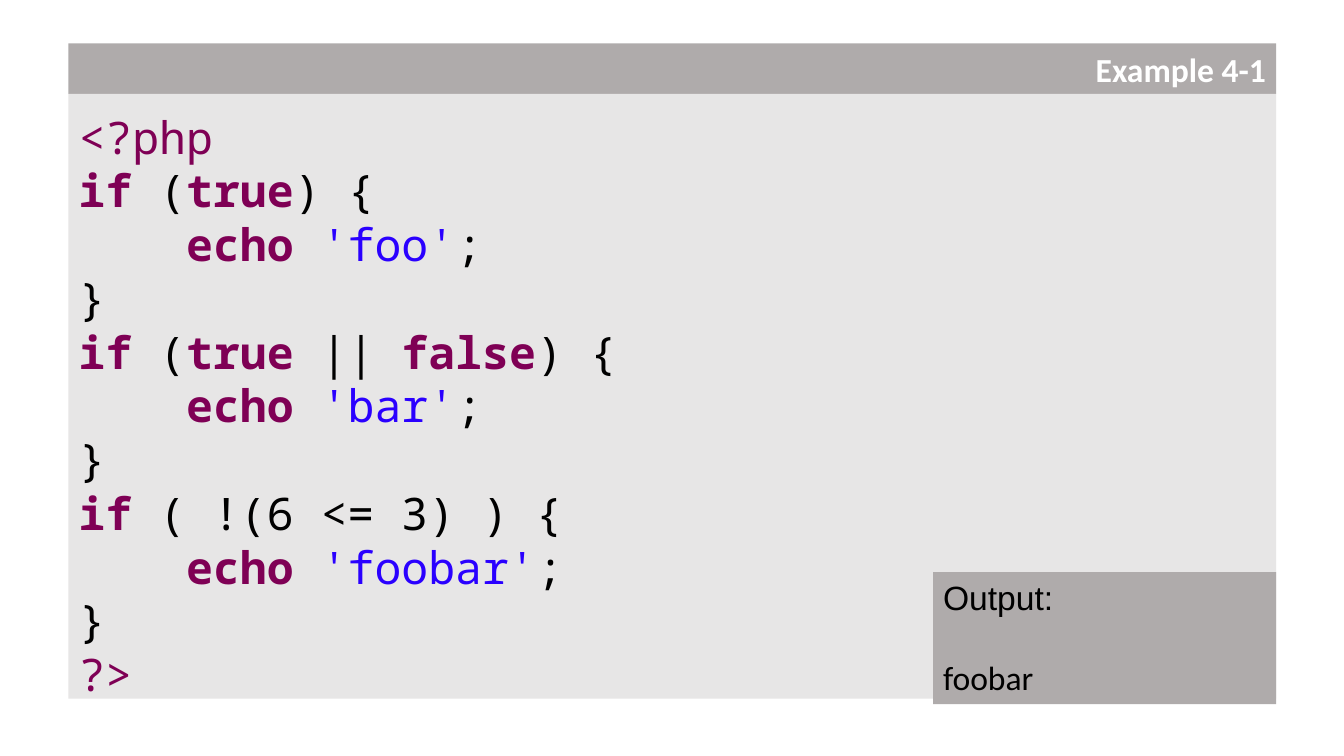
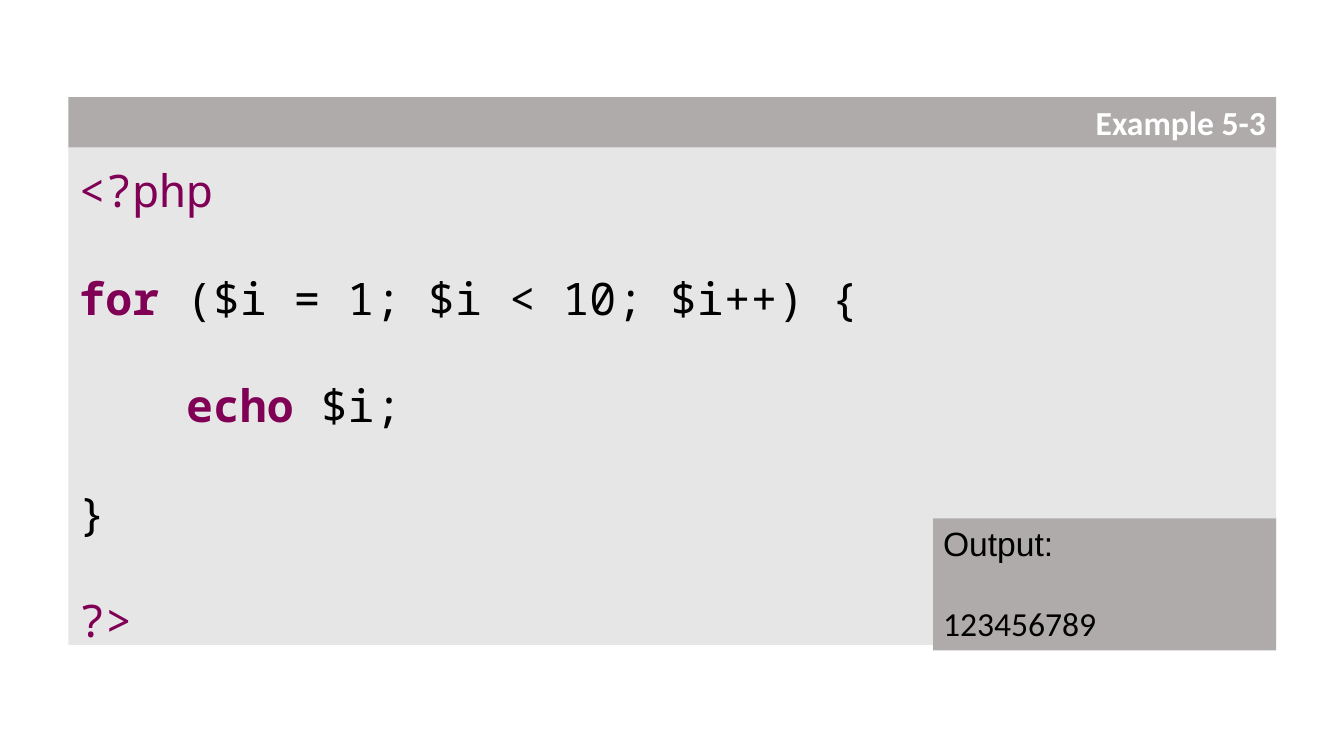
from pptx import Presentation
from pptx.dml.color import RGBColor
from pptx.enum.shapes import MSO_SHAPE
from pptx.enum.text import MSO_ANCHOR, MSO_AUTO_SIZE, PP_ALIGN
from pptx.oxml import parse_xml
from pptx.oxml.ns import nsdecls
from pptx.util import Pt

WHITE = RGBColor(0xFF, 0xFF, 0xFF)
BLACK = RGBColor(0x00, 0x00, 0x00)
BAND_GREY = RGBColor(0xAF, 0xAB, 0xAB)
PANEL_GREY = RGBColor(0xE7, 0xE6, 0xE6)
PURPLE = RGBColor(0x7F, 0x00, 0x55)
BLUE = RGBColor(0x2A, 0x00, 0xFF)

# Kinds of code token: colour and bold
PLAIN = (BLACK, False)
TAG = (PURPLE, False)
KEYWORD = (PURPLE, True)
STRING = (BLUE, False)


class ExampleDeck:
    """Style of the code examples and the slide being filled."""

    LEFT, WIDTH = 48.9, 862.6
    CENTER_Y = 265
    HEADER_HEIGHT = 36
    LINE = 38.4
    INSET_X, INSET_Y = 7.2, 3.6
    CODE_TOP = 11
    OUTPUT_WIDTH, OUTPUT_HEIGHT, OUTPUT_DROP = 245, 94.3, 4

    def __init__(self):
        self.deck = Presentation()
        self.deck.slide_width, self.deck.slide_height = Pt(960), Pt(540)
        self.slide = None
        self.top = self.bottom = 0

    def add_example(self, rows):
        """Start a slide whose block is centred and fits the given rows."""
        self.slide = self.deck.slides.add_slide(self.deck.slide_layouts[1])
        height = rows * self.LINE + 2 * self.INSET_Y
        self.top = self.CENTER_Y - height / 2
        self.bottom = self.top + height

    def place(self, box, left, top, width, height, fill, anchor):
        box.left, box.top, box.width, box.height = map(Pt, (left, top, width, height))
        box.fill.solid()
        box.fill.fore_color.rgb = fill
        frame = box.text_frame
        frame.word_wrap = True
        frame.auto_size = MSO_AUTO_SIZE.NONE
        frame.vertical_anchor = anchor
        frame.margin_left = frame.margin_right = Pt(self.INSET_X)
        frame.margin_top = frame.margin_bottom = Pt(self.INSET_Y)
        return frame

    @staticmethod
    def format(span, name, size, color, bold=False):
        font = span.font
        font.name, font.size, font.bold = name, Pt(size), bold
        font.color.rgb = color

    def header(self, text):
        frame = self.place(self.slide.shapes.title, self.LEFT, self.top, self.WIDTH,
                           self.HEADER_HEIGHT, BAND_GREY, MSO_ANCHOR.MIDDLE)
        frame.text = text
        para = frame.paragraphs[0]
        para.alignment = PP_ALIGN.RIGHT
        self.format(para.runs[0], "Calibri", 24, WHITE, True)

    def code(self, lines, gap=0):
        """Write token lines, with a gap counted in lines between them."""
        top = self.top + self.HEADER_HEIGHT
        frame = self.place(self.slide.placeholders[1], self.LEFT, top, self.WIDTH,
                           self.bottom - top, PANEL_GREY, MSO_ANCHOR.TOP)
        frame.margin_top, frame.margin_bottom = Pt(self.CODE_TOP), Pt(0)
        for number, tokens in enumerate(lines):
            para = frame.add_paragraph() if number else frame.paragraphs[0]
            properties = para._p.get_or_add_pPr()
            properties.set("marL", "0")
            properties.set("indent", "0")
            properties.append(parse_xml(f"<a:buNone {nsdecls('a')}/>"))
            para.line_spacing = Pt(self.LINE)
            para.space_before = Pt(gap * self.LINE if number else 0)
            for text, (color, bold) in tokens:
                span = para.add_run()
                span.text = text
                self.format(span, "Noto Sans Mono", 32, color, bold)

    def output(self, result):
        box = self.slide.shapes.add_shape(MSO_SHAPE.RECTANGLE, 0, 0, 0, 0)
        box.shadow.inherit = False
        box.line.fill.background()
        left = self.LEFT + self.WIDTH - self.OUTPUT_WIDTH
        top = self.bottom + self.OUTPUT_DROP - self.OUTPUT_HEIGHT
        frame = self.place(box, left, top, self.OUTPUT_WIDTH, self.OUTPUT_HEIGHT,
                           BAND_GREY, MSO_ANCHOR.TOP)
        frame.text = f"Output:\n{result}"
        for para, name, space in zip(frame.paragraphs, ("Arial", "Calibri"), (0, 28)):
            para.alignment = PP_ALIGN.LEFT
            para.space_before = Pt(space)
            self.format(para.runs[0], name, 24, BLACK)


def echo(value, kind):
    return [("    ", PLAIN), ("echo ", KEYWORD), (value, kind), (";", PLAIN)]


def main():
    opening, closing = [("<?php", TAG)], [("?>", TAG)]
    end_block = [("}", PLAIN)]
    examples = ExampleDeck()

    # Conditions
    examples.add_example(rows=12)
    examples.header("Example 4-1")
    examples.code([
        opening,
        [("if ", KEYWORD), ("(", PLAIN), ("true", KEYWORD), (") {", PLAIN)],
        echo("'foo'", STRING),
        end_block,
        [("if", KEYWORD), (" (", PLAIN), ("true", KEYWORD), (" || ", PLAIN),
         ("false", KEYWORD), (") {", PLAIN)],
        echo("'bar'", STRING),
        end_block,
        [("if", KEYWORD), (" ( !(6 <= 3) ) {", PLAIN)],
        echo("'foobar'", STRING),
        end_block,
        closing,
    ])
    examples.output("foobar")

    # Counting loop
    examples.add_example(rows=10)
    examples.header("Example 5-3")
    examples.code([
        opening,
        [("for ", KEYWORD), ("($i = 1; $i < 10; $i++) {", PLAIN)],
        echo("$i", PLAIN),
        end_block,
        closing,
    ], gap=1)
    examples.output("123456789")

    examples.deck.save("out.pptx")


if __name__ == "__main__":
    main()
